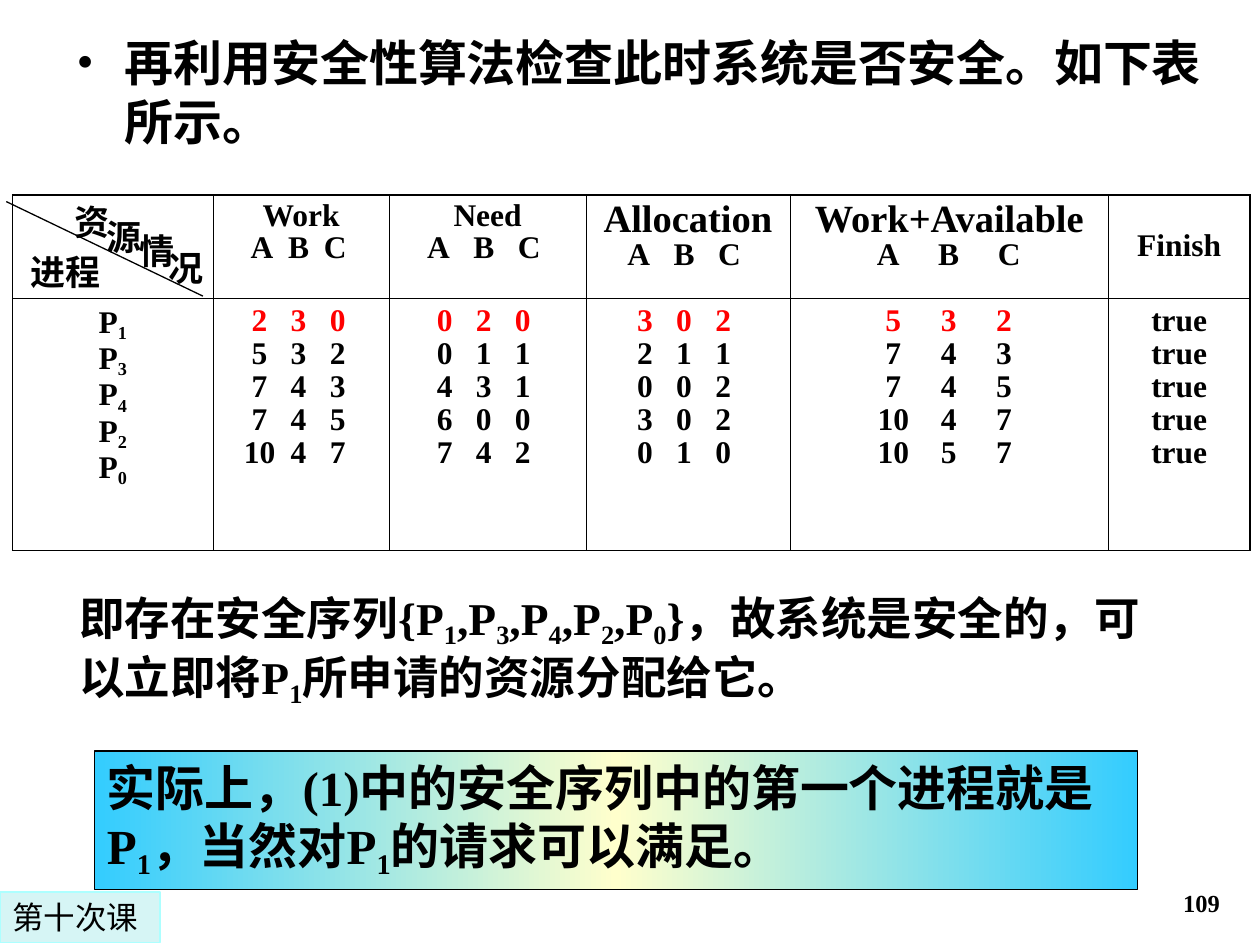
"""Builds a slide that checks a resource allocation with the safety algorithm."""
from lxml import etree
from pptx import Presentation
from pptx import util as u
from pptx.dml.color import RGBColor
from pptx.enum import dml, shapes, text
from pptx.oxml import ns

Inches = u.Inches
SERIF = "Times New Roman"
BLACK, RED = "000000", "FF0000"
CENTER = text.PP_ALIGN.CENTER
COLUMN_WIDTHS = [1.59, 1.4, 1.56, 1.62, 2.53, 1.12]
ROW_HEIGHTS = [0.82, 2]
PROCESSES = ["P_1", "P_3", "P_4", "P_2", "P_0"]
RESOURCE_COLUMNS = [
    ("Work", 18, 0.58, 0.29, 0.31, ["2 3 0", "5 3 2", "7 4 3", "7 4 5", "10 4 7"]),
    ("Need", 18, 0.65, 0.36, 0.31, ["0 2 0", "0 1 1", "4 3 1", "6 0 0", "7 4 2"]),
    ("Allocation", 22, 0.68, 0.36, 0.31, ["3 0 2", "2 1 1", "0 0 2", "3 0 2", "0 1 0"]),
    ("Work+Available", 22, 1.16, 0.48, 0.44,
     ["5 3 2", "7 4 3", "7 4 5", "10 4 7", "10 5 7"]),
]


def color(value):
    """Turn a hex string into a colour."""
    return RGBColor.from_string(value)


def add_element(parent, tag, **attributes):
    """Append a drawing element to its parent."""
    return etree.SubElement(parent, ns.qn(tag), attributes)


def write(paragraph, content, size, hue=BLACK, font=SERIF, bold=True):
    """Write text in which the character after each underscore is a subscript."""
    first, *others = content.split("_")
    pieces = [(first, False)]
    for part in others:
        pieces += [(part[0], True), (part[1:], False)]
    for piece, lowered in pieces:
        if piece:
            run = paragraph.add_run()
            run.text = piece
            run.font.size = u.Pt(size)
            run.font.name = font
            run.font.bold = bold
            run.font.color.rgb = color(hue)
            if lowered:
                run.font._element.set("baseline", "-20000")


def add_text(container, box, content, size, align=None, anchor=text.MSO_ANCHOR.TOP):
    """Add a wrapping text box with one paragraph."""
    frame = container.add_textbox(*map(Inches, box)).text_frame
    frame.word_wrap = True
    frame.vertical_anchor = anchor
    paragraph = frame.paragraphs[0]
    paragraph.alignment = align
    write(paragraph, content, size)
    return paragraph


def add_bullet(paragraph):
    """Give a paragraph a round bullet and a hanging indent."""
    properties = paragraph._p.get_or_add_pPr()
    properties.set("marL", str(Inches(0.38)))
    properties.set("indent", str(Inches(-0.38)))
    add_element(properties, "a:buFont", typeface=SERIF)
    add_element(properties, "a:buChar", char="•")


def add_panel(slide, box, line, content, size, **style):
    """Add an outlined rectangle with left-aligned text."""
    shape = slide.shapes.add_shape(shapes.MSO_SHAPE.RECTANGLE, *map(Inches, box))
    shape.shadow.inherit = False
    shape.line.color.rgb = color(line)
    shape.line.width = u.Pt(0.75)
    frame = shape.text_frame
    frame.word_wrap = True
    frame.vertical_anchor = text.MSO_ANCHOR.TOP
    frame.paragraphs[0].alignment = text.PP_ALIGN.LEFT
    write(frame.paragraphs[0], content, size, **style)
    return shape


def fill_gradient(shape, hues):
    """Fill a shape from left to right with evenly spaced colours."""
    shape.fill.gradient()
    shape.fill.gradient_angle = 0
    stops = shape._element.spPr.find(".//" + ns.qn("a:gsLst"))
    for stop in list(stops):
        stops.remove(stop)
    for index, hue in enumerate(hues):
        position = str(100000 * index // (len(hues) - 1))
        add_element(add_element(stops, "a:gs", pos=position), "a:srgbClr", val=hue)


def frame_cell(cell, row, column):
    """Draw thick outer and thin inner borders and clear the fill."""
    properties = cell._tc.get_or_add_tcPr()
    outer = {"a:lnL": column == 0, "a:lnR": column == len(COLUMN_WIDTHS) - 1,
             "a:lnT": row == 0, "a:lnB": row == len(ROW_HEIGHTS) - 1}
    for tag, thick in outer.items():
        border = add_element(properties, tag, w=str(u.Pt(1.08 if thick else 0.45)))
        add_element(add_element(border, "a:solidFill"), "a:srgbClr", val=BLACK)
    cell.fill.background()


def next_paragraph(cell, spacing):
    """Return the empty first paragraph of a cell or a new one after it."""
    frame = cell.text_frame
    paragraph = frame.paragraphs[0]
    if paragraph.runs:
        paragraph = frame.add_paragraph()
    paragraph.line_spacing = spacing
    return paragraph


def add_centered(cell, content, size, spacing):
    """Add a centred line to a cell."""
    paragraph = next_paragraph(cell, spacing)
    paragraph.alignment = CENTER
    write(paragraph, content, size)


def add_triple(cell, values, middle, step, spacing, hue=BLACK):
    """Add three values under centred tab stops."""
    paragraph = next_paragraph(cell, spacing)
    paragraph.alignment = text.PP_ALIGN.LEFT
    tabs = add_element(paragraph._p.get_or_add_pPr(), "a:tabLst")
    for offset in (-step, 0, step):
        add_element(tabs, "a:tab", pos=str(Inches(middle + offset)), algn="ctr")
    write(paragraph, "".join("\t" + value for value in values.split()), 18, hue)


def add_safety_table(slide):
    """Add the table of the safety check."""
    frame = slide.shapes.add_table(len(ROW_HEIGHTS), len(COLUMN_WIDTHS), Inches(0.1),
                                   Inches(1.55), Inches(9.82), Inches(2.82))
    table = frame.table
    table.horz_banding = False
    for column, width in zip(table.columns, COLUMN_WIDTHS):
        column.width = Inches(width)
    for index, height in enumerate(ROW_HEIGHTS):
        table.rows[index].height = Inches(height)
        for column in range(len(COLUMN_WIDTHS)):
            frame_cell(table.cell(index, column), index, column)
    last = len(COLUMN_WIDTHS) - 1
    for process in PROCESSES:
        add_centered(table.cell(1, 0), process, 18, 0.95)
        add_centered(table.cell(1, last), "true", 18, 0.95)
    add_centered(table.cell(0, last), "Finish", 18, 0.9)
    table.cell(0, last).vertical_anchor = text.MSO_ANCHOR.MIDDLE
    for column, (title, size, middle, head_step, step, rows) in enumerate(RESOURCE_COLUMNS, 1):
        add_centered(table.cell(0, column), title, size, 0.9)
        add_triple(table.cell(0, column), "A B C", middle, head_step, 0.9)
        for index, values in enumerate(rows):
            add_triple(table.cell(1, column), values, middle, step, 0.95,
                       BLACK if index else RED)


def add_corner_header(slide):
    """Add the diagonal header of the first table cell."""
    group = slide.shapes.add_group_shape().shapes
    line = group.add_connector(shapes.MSO_CONNECTOR.STRAIGHT,
                               *map(Inches, (0.05, 1.6, 1.61, 2.35)))
    line.line.color.rgb = color(BLACK)
    line.line.width = u.Pt(0.75)
    add_element(line._element.spPr, "a:effectLst")
    add_text(group, (0.14, 1.94, 0.92, 0.44), "进程", 20)
    for character, left, top in [("资", 0.49, 1.54), ("源", 0.75, 1.66),
                                 ("情", 1.01, 1.77), ("况", 1.24, 1.91)]:
        add_text(group, (left, top, 0.51, 0.44), character, 20)


def main():
    """Build and save the slide."""
    presentation = Presentation()
    presentation.slide_width, presentation.slide_height = Inches(10), Inches(7.5)
    slide = presentation.slides.add_slide(presentation.slide_layouts[6])
    add_text(slide.shapes, (7.7, 6.83, 2.08, 0.5), "109", 14,
             text.PP_ALIGN.RIGHT, text.MSO_ANCHOR.BOTTOM)
    add_text(slide.shapes, (0.53, 4.63, 8.86, 1.07),
             "即存在安全序列{P_1,P_3,P_4,P_2,P_0}，故系统是安全的，"
             "可以立即将P_1所申请的资源分配给它。", 26)
    remark = add_panel(slide, (0.75, 5.96, 8.28, 1.1), BLACK,
                       "实际上，(1)中的安全序列中的第一个进程就是P_1，当然对P_1的请求可以满足。", 28)
    fill_gradient(remark, ["33CCFF", "FFFFCC", "33CCFF"])
    add_bullet(add_text(slide.shapes, (0.51, 0.21, 9.13, 1.04),
                        "再利用安全性算法检查此时系统是否安全。如下表所示。", 28))
    add_safety_table(slide)
    add_corner_header(slide)
    lesson = add_panel(slide, (0, 7.08, 1.27, 0.4), "ADFFFF", "第十次课", 18,
                       font="DejaVu Sans", bold=False)
    lesson.fill.solid()
    lesson.fill.fore_color.rgb = color("D6F5F5")
    presentation.save("out.pptx")


if __name__ == "__main__":
    main()
